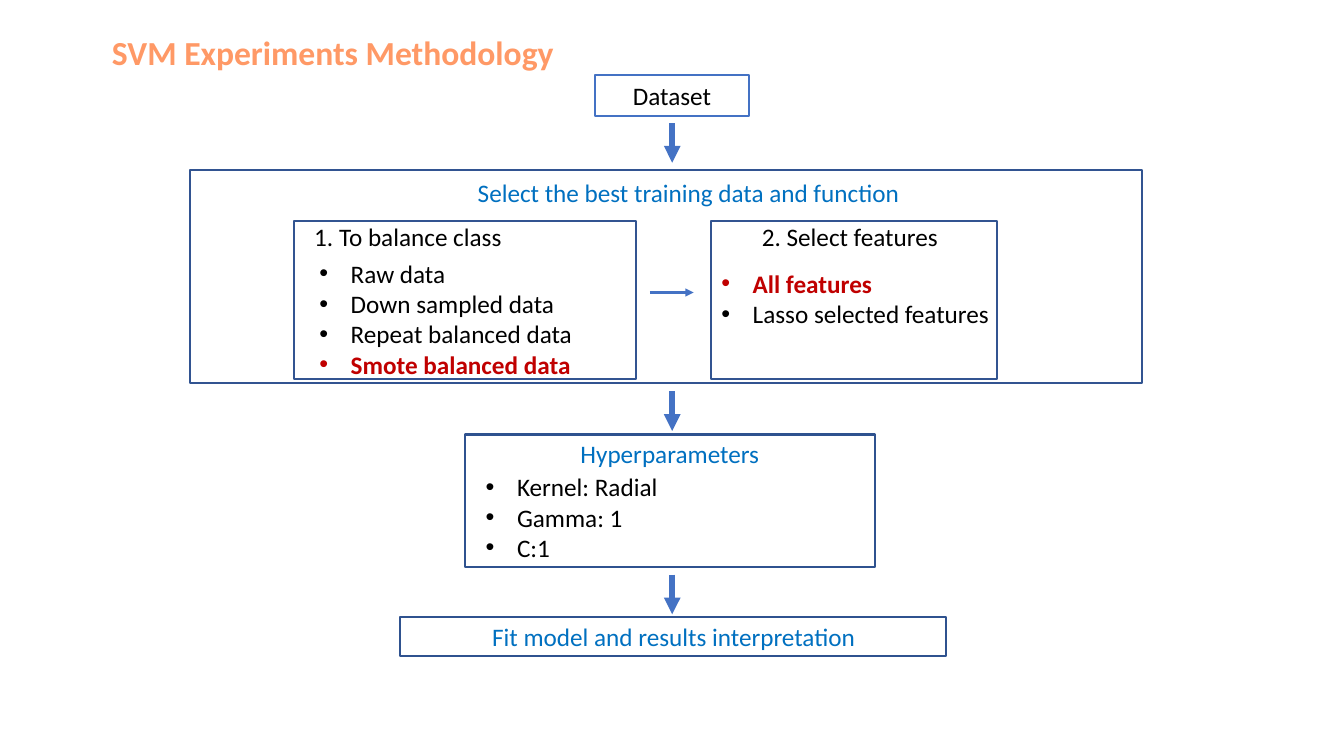
from lxml import etree
from pptx import Presentation
from pptx import util as u
from pptx.dml.color import RGBColor
from pptx.enum import shapes, text
from pptx.oxml import ns

BLACK = RGBColor(0x00, 0x00, 0x00)
ORANGE = RGBColor(0xFF, 0x99, 0x66)
BLUE = RGBColor(0x44, 0x72, 0xC4)
NAVY = RGBColor(0x32, 0x54, 0x91)
DEEP = RGBColor(0x2F, 0x52, 0x8F)
AZURE = RGBColor(0x00, 0x70, 0xC0)
RED = RGBColor(0xC0, 0x00, 0x00)


def cms(*sizes):
    return [u.Cm(size) for size in sizes]


def add(parent, tag, **attrs):
    return etree.SubElement(parent, ns.qn(tag), **attrs)


def write(para, words, size=18, color=BLACK, bold=False, center=False, bullet=False):
    run = para.add_run()
    run.text = words
    run.font.name = "Calibri"
    run.font.size = u.Pt(size)
    run.font.bold = bold
    run.font.color.rgb = color
    para.alignment = text.PP_ALIGN.CENTER if center else text.PP_ALIGN.LEFT
    if bullet:
        props = para._p.get_or_add_pPr()
        props.set("marL", str(u.Cm(0.79)))
        props.set("indent", str(u.Cm(-0.79)))
        add(props, "a:buFont", typeface="Arial")
        add(props, "a:buChar", char="•")


class Chart:
    def __init__(self, slide, width=1.5):
        self.shapes = slide.shapes
        self.width = u.Pt(width)

    def box(self, *place, color=NAVY):
        rect = self.shapes.add_shape(shapes.MSO_SHAPE.RECTANGLE, *cms(*place))
        rect.shadow.inherit = False
        rect.fill.background()
        rect.line.color.rgb = color
        rect.line.width = self.width
        return rect

    def frame(self, place, wrap=True):
        frame = self.shapes.add_textbox(*cms(*place)).text_frame
        frame.word_wrap = wrap
        frame.auto_size = text.MSO_AUTO_SIZE.SHAPE_TO_FIT_TEXT
        return frame

    def label(self, words, *place, wrap=True, **style):
        write(self.frame(place, wrap).paragraphs[0], words, **style)

    def bullets(self, items, *place, pick=None):
        frame = self.frame(place)
        for i, item in enumerate(items):
            para = frame.add_paragraph() if i else frame.paragraphs[0]
            chosen = item == pick
            write(para, item, color=RED if chosen else BLACK, bold=chosen, bullet=True)

    def arrow(self, *ends, width=None):
        line = self.shapes.add_connector(shapes.MSO_CONNECTOR.STRAIGHT, *cms(*ends))
        line.line.color.rgb = BLUE
        line.line.width = u.Pt(width) if width else self.width
        add(line.line._get_or_add_ln(), "a:tailEnd", type="triangle")
        add(line._element.spPr, "a:effectLst")


def main():
    deck = Presentation()
    deck.slide_width, deck.slide_height = cms(33.87, 19.05)
    chart = Chart(deck.slides.add_slide(deck.slide_layouts[6]))

    chart.label("SVM Experiments Methodology", 2.51, 0.69, 11.76, 1.27,
                wrap=False, size=24, color=ORANGE, bold=True, center=True)
    data = chart.box(14.99, 1.9, 3.89, 1.02, color=BLUE)
    write(data.text_frame.paragraphs[0], "Dataset", center=True)

    chart.box(4.78, 4.29, 24, 5.36)
    chart.label("Select the best training data and function",
                11.79, 4.34, 11.28, 1.02, wrap=False, color=AZURE)
    for left, width in (7.42, 8.61), (17.93, 7.19):
        chart.box(left, 5.56, width, 3.99)
    chart.label("1. To balance class", 7.67, 5.46, 9.73, 1.02)
    chart.bullets(["Raw data", "Down sampled data", "Repeat balanced data",
                   "Smote balanced data"], 7.8, 6.38, 7.59, 3.33,
                  pick="Smote balanced data")
    chart.arrow(16.38, 7.37, 17.48, 7.37)
    chart.label("2. Select features", 18.95, 5.46, 5, 1.02, wrap=False)
    chart.bullets(["All features", "Lasso selected features"],
                  17.93, 6.63, 7.27, 1.8, pick="All features")

    chart.box(11.71, 10.95, 10.34, 3.33, color=DEEP)
    chart.label("Hyperparameters", 11.71, 10.92, 10.34, 1.02, color=AZURE, center=True)
    chart.bullets(["Kernel: Radial", "Gamma: 1", "C:1"], 11.99, 11.76, 10.59, 2.57)

    chart.box(10.08, 15.54, 13.77, 0.99, color=DEEP)
    chart.label("Fit model and results interpretation",
                8.51, 15.54, 16.94, 1.02, color=AZURE, center=True)

    for top in 3.1, 9.86, 14.48:
        chart.arrow(16.94, top, 16.94, top + 1, width=4)

    deck.save("out.pptx")


if __name__ == "__main__":
    main()
